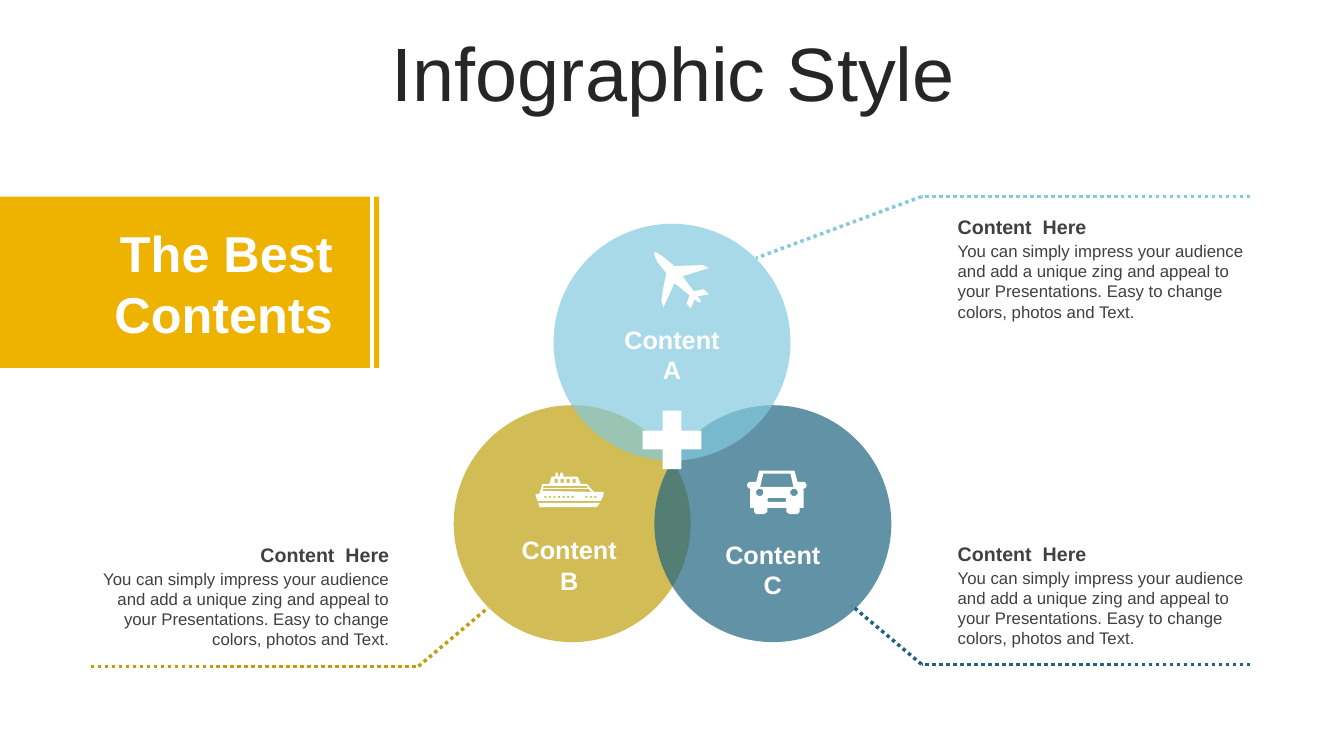
from dataclasses import dataclass

from lxml import etree
from pptx import Presentation
from pptx import util as u
from pptx.dml.color import RGBColor
from pptx.enum import dml, shapes, text
from pptx.oxml.ns import qn

COLORS = {
    "white": "FFFFFF", "title": "262626", "body": "404040", "banner": "EDB300",
    "sky": "84CADF", "olive": "BEA00E", "teal": "206481",
}
FONT = "Arial"
HEADING = "Content  Here"
BODY = ("You can simply impress your audience and add a unique zing and appeal to "
        "your Presentations. Easy to change colors, photos and Text.")
DIAMETER = 2.35
LEFT, CENTER, RIGHT = text.PP_ALIGN.LEFT, text.PP_ALIGN.CENTER, text.PP_ALIGN.RIGHT
TOP, MIDDLE = text.MSO_ANCHOR.TOP, text.MSO_ANCHOR.MIDDLE

Point = tuple[float, float]
Contour = list[Point]


@dataclass
class Topic:
    letter: str
    color: str
    circle: Point
    label: Point
    note: Point
    align: text.PP_ALIGN
    leader: Contour


TOPICS = [
    Topic("B", "olive", (4.5, 4.02), (4.62, 5.25), (0.9, 5.33), RIGHT,
          [(4.84, 6.03), (4.15, 6.61), (0.9, 6.61)]),
    Topic("C", "teal", (6.49, 4.02), (6.64, 5.29), (9.4, 5.32), LEFT,
          [(8.45, 6.01), (9.14, 6.59), (12.4, 6.59)]),
    Topic("A", "sky", (5.49, 2.22), (5.64, 3.16), (9.4, 2.08), LEFT,
          [(7.5, 2.56), (9.14, 1.95), (12.4, 1.95)]),
]


def box(x: float, y: float, w: float, h: float) -> Contour:
    return [(x, y), (x + w, y), (x + w, y + h), (x, y + h)]


def mirror(points: Contour, axis: float) -> Contour:
    return points + [(2 * axis - x, y) for x, y in reversed(points)]


def octagon(x: float, y: float, r: float) -> Contour:
    k = 0.41 * r
    return mirror([(x + k, y - r), (x + r, y - k), (x + r, y + k), (x + k, y + r)], x)


CAR_AXIS = 7.705
CAR = [
    mirror([(7.88, 4.67), (7.91, 4.78), (7.97, 4.78), (7.99, 4.79), (8, 4.81),
            (8, 4.82), (7.99, 4.84), (7.97, 4.85), (7.96, 4.85), (7.97, 4.86),
            (7.97, 5.04), (7.93, 5.04), (7.93, 5.08), (7.91, 5.1), (7.83, 5.1),
            (7.8, 5.08), (7.8, 5.04)], CAR_AXIS),
    mirror([(7.84, 4.7), (7.87, 4.83)], CAR_AXIS),
    mirror([(7.79, 4.94), (7.8, 4.96), (7.79, 4.98)], CAR_AXIS),
    octagon(7.535, 4.885, 0.035),
    octagon(7.875, 4.885, 0.035),
]
SHIP = [
    [(5.34, 4.99), (5.95, 4.99), (5.92, 5.03), (5.35, 5.03)],
    [(5.56, 4.69), (5.58, 4.69), (5.59, 4.73), (5.73, 4.73), (5.76, 4.8), (5.82, 4.8),
     (5.89, 4.88), (5.99, 4.88), (5.98, 4.93), (5.96, 4.97), (5.33, 4.97), (5.31, 4.9),
     (5.35, 4.9), (5.38, 4.8), (5.45, 4.8), (5.47, 4.73), (5.51, 4.73), (5.51, 4.69),
     (5.53, 4.69), (5.54, 4.73), (5.55, 4.73)],
    [(5.39, 4.85), (5.38, 4.87), (5.86, 4.88), (5.84, 4.85)],
    [(5.39, 4.82), (5.39, 4.84), (5.83, 4.84), (5.82, 4.82)],
    *[box(5.5 + 0.06 * i, 4.75, 0.03, 0.04) for i in range(4)],
    *[box(5.4 + 0.045 * i, 4.92, 0.02, 0.02) for i in range(12) if i not in (7, 8)],
]
PLANE = [
    [(7.03, 2.92), (6.92, 2.94), (6.95, 2.98), (6.95, 3), (6.93, 3), (6.89, 2.97),
     (6.85, 3.06), (6.81, 3.01), (6.84, 2.93), (6.69, 2.81), (6.58, 3.05), (6.56, 2.99),
     (6.58, 2.85), (6.61, 2.71), (6.52, 2.6), (6.49, 2.53), (6.49, 2.5), (6.52, 2.51),
     (6.58, 2.55), (6.69, 2.64), (6.97, 2.63), (7.03, 2.66), (6.77, 2.74), (6.88, 2.89),
     (6.98, 2.87)],
]


def rgb(color: str) -> RGBColor:
    return RGBColor.from_string(COLORS[color])


def paint(sp, color: str, opacity: int = 100) -> None:
    sp.shadow.inherit = False
    sp.fill.solid()
    sp.fill.fore_color.rgb = rgb(color)
    sp.line.fill.background()
    if opacity < 100:
        clr = sp.fill._xPr.find(qn("a:solidFill"))[0]
        etree.SubElement(clr, qn("a:alpha"), val=str(opacity * 1000))


def add_preset(s, kind, x: float, y: float, w: float, h: float,
               color: str, opacity: int = 100) -> None:
    sp = s.shapes.add_shape(kind, *map(u.Inches, (x, y, w, h)))
    paint(sp, color, opacity)


def add_icon(s, contours: list[Contour]) -> None:
    scaled = [[(u.Inches(x), u.Inches(y)) for x, y in c] for c in contours]
    builder = s.shapes.build_freeform(*scaled[0][0])
    for i, points in enumerate(scaled):
        if i:
            builder.move_to(*points[0])
        builder.add_line_segments(points[1:], close=True)
    paint(builder.convert_to_shape(), "white")


def write(tf, lines: list[str], size: int, color: str, align,
          bold: bool = False, anchor=MIDDLE) -> None:
    tf.word_wrap = True
    tf.vertical_anchor = anchor
    for i, line in enumerate(lines):
        p = tf.add_paragraph() if i else tf.paragraphs[0]
        p.text = line
        p.alignment = align
        p.font.name = FONT
        p.font.size = u.Pt(size)
        p.font.bold = bold
        p.font.color.rgb = rgb(color)


def add_text(s, x: float, y: float, w: float, h: float, lines: list[str],
             size: int, color: str, align, bold: bool = False, anchor=MIDDLE) -> None:
    tf = s.shapes.add_textbox(*map(u.Inches, (x, y, w, h))).text_frame
    write(tf, lines, size, color, align, bold, anchor)
    tf.auto_size = text.MSO_AUTO_SIZE.SHAPE_TO_FIT_TEXT


def add_leader(s, points: Contour, color: str) -> None:
    for start, end in zip(points, points[1:]):
        line = s.shapes.add_connector(shapes.MSO_CONNECTOR.STRAIGHT,
                                      *map(u.Inches, (*end, *start)))
        line.line.color.rgb = rgb(color)
        line.line.width = u.Pt(2.5)
        line.line.dash_style = dml.MSO_LINE.ROUND_DOT
        etree.SubElement(line._element.spPr, qn("a:effectLst"))


def add_title(s) -> None:
    title = s.shapes.title
    title.left, title.top, title.width, title.height = map(
        u.Inches, (0.35, 0.37, 12.66, 0.79))
    tf = title.text_frame
    write(tf, ["Infographic Style"], 54, "title", CENTER)
    tf.auto_size = text.MSO_AUTO_SIZE.NONE
    tf.paragraphs[0].line_spacing = 0.9


def main() -> None:
    prs = Presentation()
    prs.slide_width, prs.slide_height = u.Inches(13.33), u.Inches(7.5)
    s = prs.slides.add_slide(prs.slide_layouts[5])
    preset = shapes.MSO_SHAPE
    add_title(s)

    for topic in TOPICS:
        add_preset(s, preset.OVAL, *topic.circle, DIAMETER, DIAMETER, topic.color, 70)
    for topic in TOPICS:
        add_text(s, *topic.label, 2.05, 0.71, ["Content", topic.letter],
                 18, "white", CENTER, bold=True)
        add_leader(s, topic.leader, topic.color)
        x, y = topic.note
        add_text(s, x, y, 3.06, 0.34, [HEADING], 14, "body", topic.align, bold=True)
        add_text(s, x, y + 0.26, 3.06, 0.91, [BODY], 12, "body", topic.align, anchor=TOP)
    add_preset(s, preset.MATH_PLUS, 6.27, 3.97, 0.79, 0.79, "white")

    for x, w in ((0, 3.67), (3.71, 0.05)):
        add_preset(s, preset.RECTANGLE, x, 1.95, w, 1.7, "banner")
    add_text(s, 0.37, 2.15, 3.03, 1.31, ["The Best Contents"], 36, "white", RIGHT, bold=True)

    for icon in (CAR, SHIP, PLANE):
        add_icon(s, icon)
    prs.save("out.pptx")


if __name__ == "__main__":
    main()
